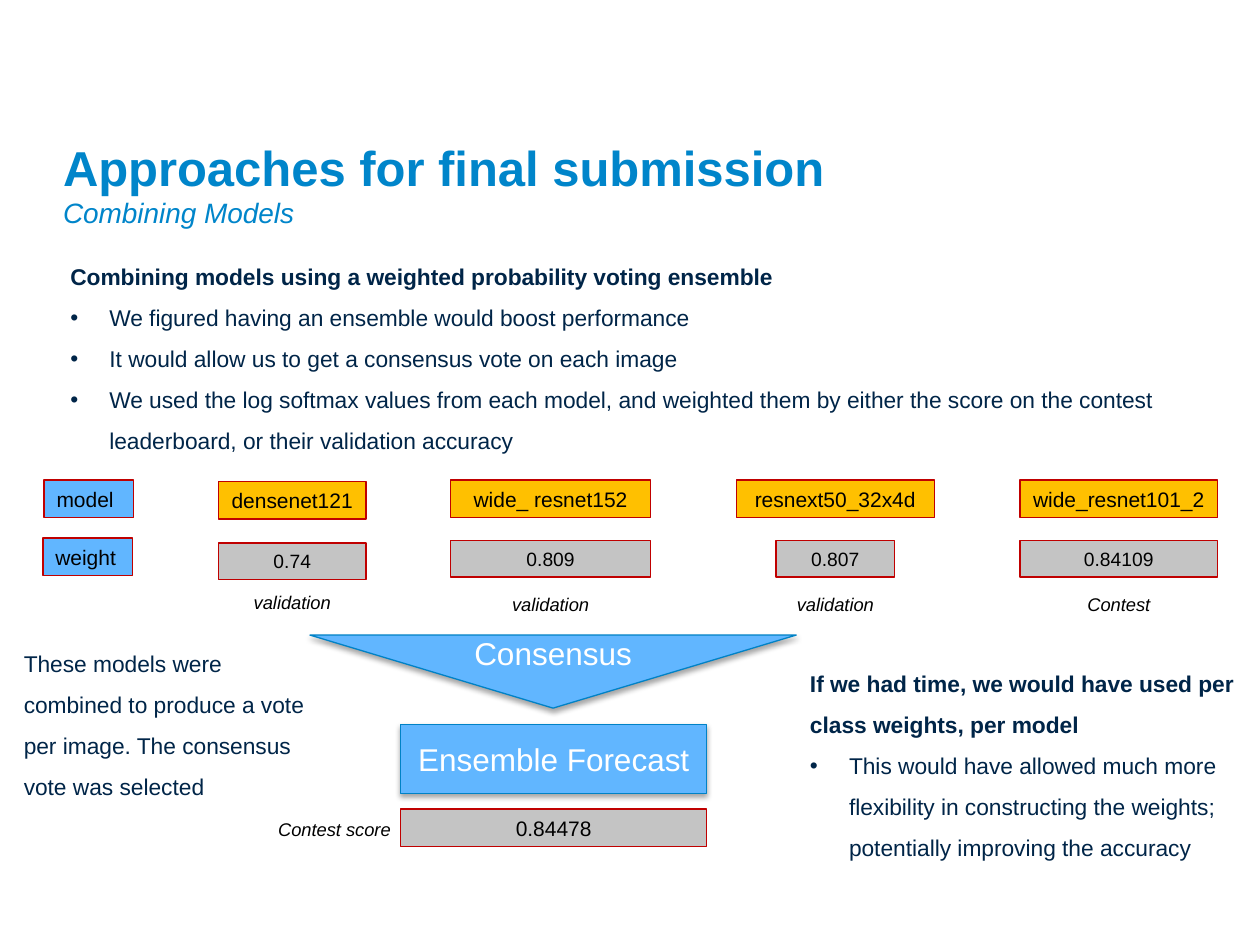
import pptx
import pptx.dml.color
import pptx.enum.shapes
import pptx.enum.text
import pptx.oxml
import pptx.util
from pptx.oxml.ns import nsdecls
from pptx.util import Inches

SHAPES = pptx.enum.shapes.MSO_SHAPE
ALIGN = pptx.enum.text.PP_ALIGN
ANCHOR = pptx.enum.text.MSO_ANCHOR
AUTO_SIZE = pptx.enum.text.MSO_AUTO_SIZE

BLACK, WHITE, NAVY, TITLE_BLUE = "000000", "FFFFFF", "002548", "0085CA"
BLUE, GOLD, GREY, RED, EDGE_BLUE = "61B6FF", "FFC000", "C4C4C4", "C00000", "0082C6"

TITLE, SUBTITLE = "Approaches for final submission", "Combining Models"

# Body texts: place, then (style, text) paragraphs
BODIES = [
    ((0.46, 1.93, 9, 1.7), [
        ("heading", "Combining models using a weighted probability voting ensemble"),
        ("bullet", "We figured having an ensemble would boost performance"),
        ("bullet", "It would allow us to get a consensus vote on each image"),
        ("bullet", "We used the log softmax values from each model, and weighted them by "
                   "either the score on the contest leaderboard, or their validation accuracy"),
    ]),
    ((6.33, 5.16, 3.58, 1.7), [
        ("heading", "If we had time, we would have used per class weights, per model"),
        ("bullet", "This would have allowed much more flexibility in constructing the "
                   "weights; potentially improving the accuracy"),
    ]),
    ((0.09, 5, 2.59, 1.37), [
        ("plain", "These models were combined to produce a vote per image. "
                  "The consensus vote was selected"),
    ]),
]

ROW_LABELS = [("model", 0.35, 3.81), ("weight", 0.34, 4.27)]

# Model, weight, origin of the weight, centre, model width, weight width, row tops
MODELS = [
    ("densenet121", "0.74", "validation", 2.32, 1.17, 1.17, (3.82, 4.31, 4.64)),
    ("wide_ resnet152", "0.809", "validation", 4.37, 1.59, 1.59, (3.81, 4.29, 4.66)),
    ("resnext50_32x4d", "0.807", "validation", 6.63, 1.57, 0.94, (3.81, 4.29, 4.66)),
    ("wide_resnet101_2", "0.84109", "Contest", 8.88, 1.57, 1.57, (3.81, 4.29, 4.66)),
]
CAPTION_WIDTH = 0.95

STEPS = [
    ("Consensus", SHAPES.FLOWCHART_MERGE, (2.46, 5.04, 3.86, 0.58)),
    ("Ensemble Forecast", SHAPES.RECTANGLE, (3.18, 5.75, 2.43, 0.55)),
]
SCORE, SCORE_PLACE = "0.84478", (3.18, 6.42, 2.43, 0.3)
SCORE_LABEL, SCORE_LABEL_PLACE = "Contest score", (2.07, 6.44, 1.17, 0.28)


def rgb(color):
    return pptx.dml.color.RGBColor.from_string(color)


def write(para, text, size=12, color=BLACK, bold=False, italic=False, align=ALIGN.CENTER):
    para.alignment = align
    span = para.add_run()
    span.text = text
    span.font.name = "Arial"
    span.font.size = pptx.util.Pt(size)
    span.font.color.rgb = rgb(color)
    span.font.bold = bold
    span.font.italic = italic


def add_bullet(para):
    properties = para._p.get_or_add_pPr()
    properties.set("marL", str(Inches(0.31)))
    properties.set("indent", str(-Inches(0.31)))
    properties.append(pptx.oxml.parse_xml(f'<a:buFont {nsdecls("a")} typeface="Arial"/>'))
    properties.append(pptx.oxml.parse_xml(f'<a:buChar {nsdecls("a")} char="•"/>'))


def add_shadow(shape):
    properties = shape._element.spPr
    for effects in properties.findall(pptx.oxml.ns.qn("a:effectLst")):
        properties.remove(effects)
    properties.append(pptx.oxml.parse_xml(
        f'<a:effectLst {nsdecls("a")}><a:outerShdw blurRad="{pptx.util.Pt(3.1)}" '
        f'dist="{pptx.util.Pt(1.8)}" dir="5400000" rotWithShape="0">'
        '<a:srgbClr val="000000"><a:alpha val="35000"/></a:srgbClr>'
        '</a:outerShdw></a:effectLst>'))


def add_text_box(page, place):
    box = page.shapes.add_textbox(*map(Inches, place))
    box.text_frame.word_wrap = True
    box.text_frame.auto_size = AUTO_SIZE.SHAPE_TO_FIT_TEXT
    return box


def add_body(page, place, paragraphs):
    frame = add_text_box(page, place).text_frame
    for index, (style, text) in enumerate(paragraphs):
        para = frame.add_paragraph() if index else frame.paragraphs[0]
        para.line_spacing = 1.5
        if style == "bullet":
            add_bullet(para)
        write(para, text, size=13, color=NAVY, bold=style == "heading", align=ALIGN.LEFT)


def add_caption(page, text, place):
    box = add_text_box(page, place)
    write(box.text_frame.paragraphs[0], text, size=10.5, italic=True)


def add_block(page, text, place, fill, line=RED, kind=SHAPES.RECTANGLE,
              anchor=ANCHOR.TOP, **text_format):
    block = page.shapes.add_shape(kind, *map(Inches, place))
    block.shadow.inherit = False
    block.fill.solid()
    block.fill.fore_color.rgb = rgb(fill)
    block.line.color.rgb = rgb(line)
    block.line.width = pptx.util.Pt(0.75)
    frame = block.text_frame
    frame.word_wrap = True
    frame.vertical_anchor = anchor
    if anchor == ANCHOR.TOP:
        frame.auto_size = AUTO_SIZE.SHAPE_TO_FIT_TEXT
    write(frame.paragraphs[0], text, **text_format)
    return block


def add_title(page):
    title = page.shapes.title
    title.left, title.top, title.width, title.height = map(Inches, (0.5, 1.15, 9, 0.56))
    frame = title.text_frame
    frame.margin_left = frame.margin_right = frame.margin_bottom = 0
    frame.margin_top = Inches(0.05)
    frame.vertical_anchor = ANCHOR.MIDDLE
    frame.auto_size = AUTO_SIZE.NONE
    para = frame.paragraphs[0]
    write(para, TITLE, size=28, color=TITLE_BLUE, bold=True, align=ALIGN.LEFT)
    para.add_line_break()
    write(para, SUBTITLE, size=16, color=TITLE_BLUE, italic=True, align=ALIGN.LEFT)


def main():
    deck = pptx.Presentation()
    deck.slide_width, deck.slide_height = Inches(10), Inches(7.5)
    page = deck.slides.add_slide(deck.slide_layouts[5])
    add_title(page)
    for place, paragraphs in BODIES:
        add_body(page, place, paragraphs)
    for text, left, top in ROW_LABELS:
        add_block(page, text, (left, top, 0.71, 0.3), BLUE, align=ALIGN.LEFT)
    for model, weight, origin, center, model_width, weight_width, tops in MODELS:
        model_top, weight_top, origin_top = tops
        add_block(page, model, (center - model_width / 2, model_top, model_width, 0.3), GOLD)
        add_block(page, weight, (center - weight_width / 2, weight_top, weight_width, 0.29),
                  GREY, size=11)
        add_caption(page, origin,
                    (center - CAPTION_WIDTH / 2, origin_top, CAPTION_WIDTH, 0.28))
    for text, kind, place in STEPS:
        add_shadow(add_block(page, text, place, BLUE, line=EDGE_BLUE, kind=kind,
                             anchor=ANCHOR.MIDDLE, size=18, color=WHITE))
    add_block(page, SCORE, SCORE_PLACE, GREY)
    add_caption(page, SCORE_LABEL, SCORE_LABEL_PLACE)
    deck.save("out.pptx")


if __name__ == "__main__":
    main()
